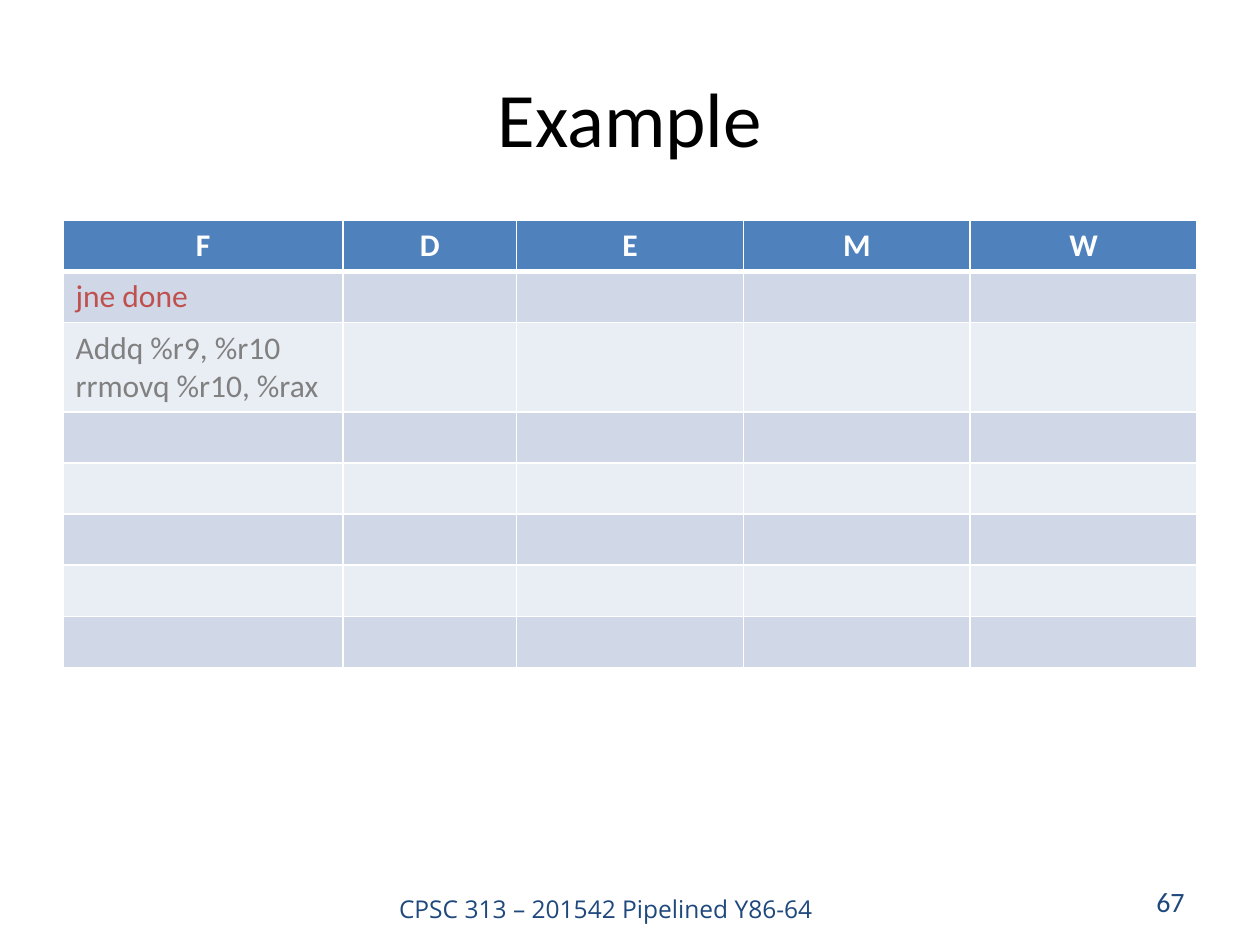
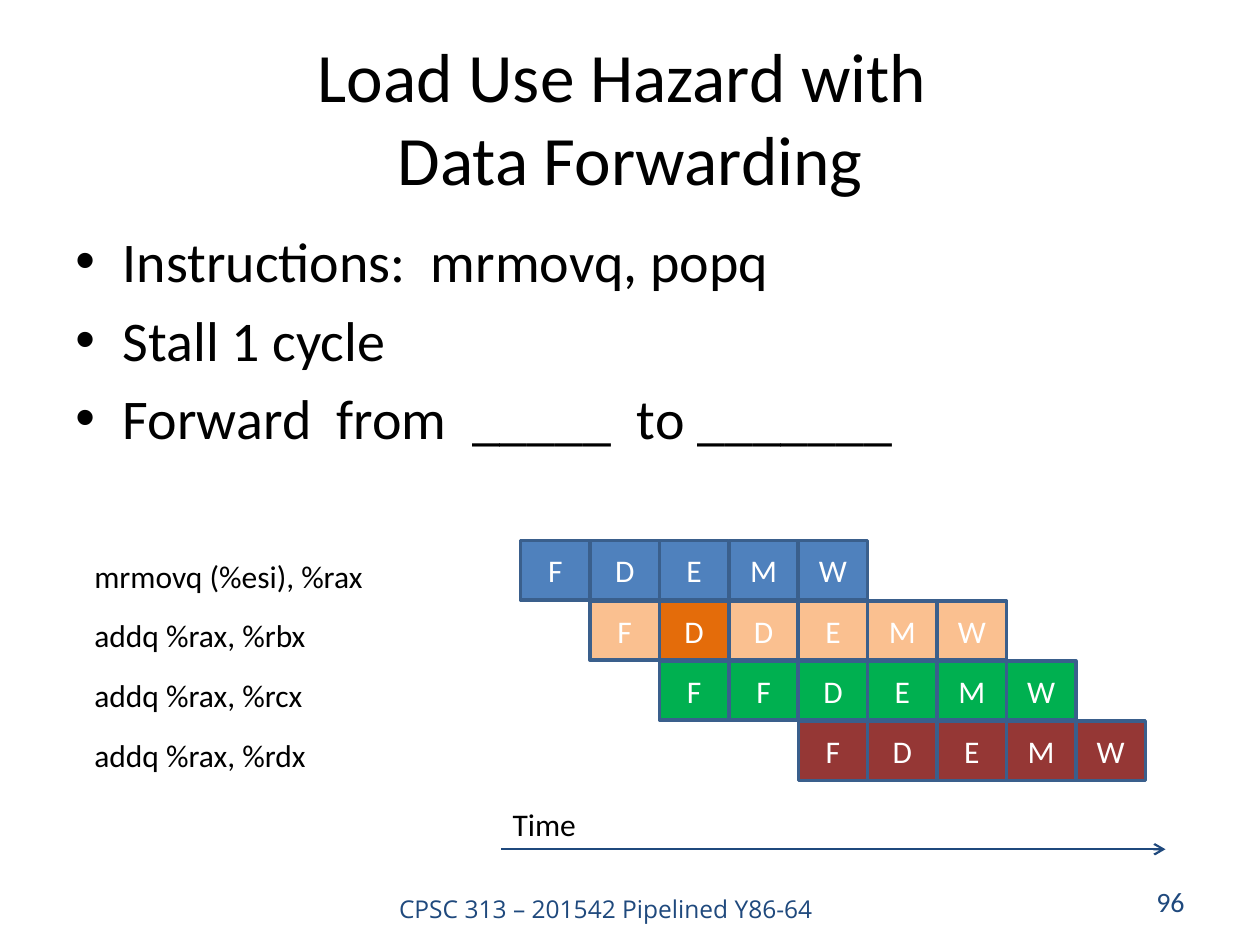
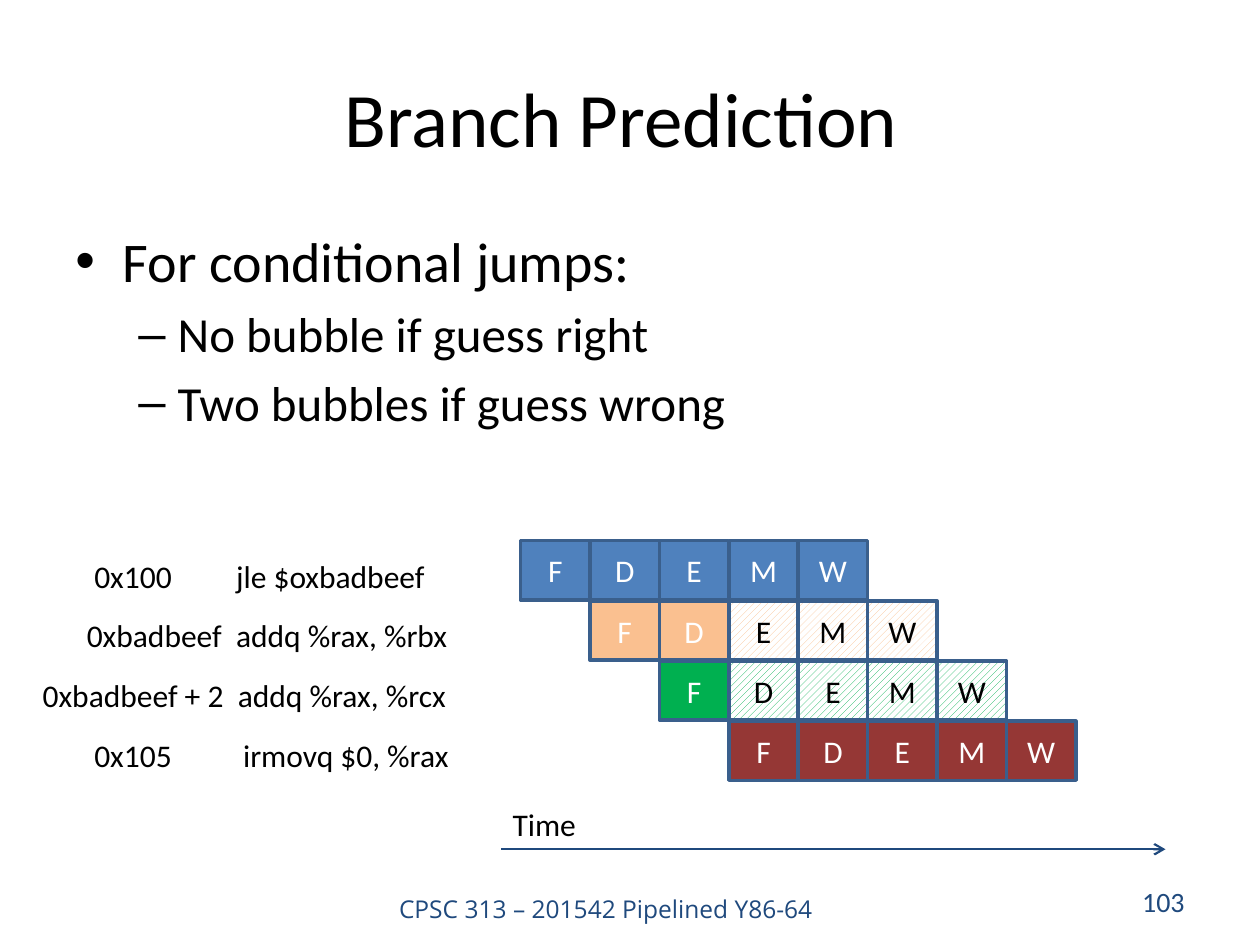
from dataclasses import dataclass
from typing import Optional

import pptx
import pptx.presentation
import pptx.shapes.autoshape
import pptx.slide
import pptx.text.text
from pptx.dml.color import RGBColor
from pptx.enum.dml import MSO_PATTERN
from pptx.enum.shapes import MSO_CONNECTOR, MSO_SHAPE
from pptx.enum.text import MSO_ANCHOR, PP_ALIGN
from pptx.oxml import parse_xml
from pptx.oxml.ns import nsdecls
from pptx.util import Pt


@dataclass(frozen=True)
class Theme:
    font: str = "Calibri"
    footer_font: str = "Open Sans"
    ink: str = "000000"
    paper: str = "FFFFFF"
    navy: str = "1F497D"
    outline: str = "3A5F8C"
    blue: str = "4F81BD"
    peach: str = "FAC090"
    orange: str = "E46C0A"
    green: str = "00B050"
    maroon: str = "953735"
    red: str = "C0504D"
    grey: str = "808080"
    bands: tuple[str, str] = ("D0D8E8", "E9EDF4")
    title: float = 44
    small_title: float = 39.6
    bullets: tuple[float, float] = (32, 28)
    text: float = 18
    number: float = 16
    footer: float = 14


@dataclass(frozen=True)
class Box:
    left: float
    top: float
    width: float
    height: float


@dataclass(frozen=True)
class Bullet:
    text: str
    level: int = 0


@dataclass(frozen=True)
class Lane:
    """One instruction: its label and the pipeline stages it passes through."""
    label: str
    start: int
    stages: str
    color: str
    label_left: float = 46.8
    code_left: float = 0
    stalled: Optional[int] = None
    squashed_from: Optional[int] = None


THEME = Theme()
TITLE_BOX = Box(36, 21.6, 648, 90)
BODY_BOX = Box(36, 126, 648, 132.5)
FOOTER_BOX = Box(206.6, 507.6, 279.4, 21.6)
NUMBER_BOX = Box(516.2, 500.4, 167.8, 28.8)
TIME_BOX = Box(285.8, 456.5, 51.1, 28.8)
INSET = 7.2

STAGE = Box(297.5, 309, 39.6, 33.9)
STAGE_PITCH = 39.67
LANE_PITCH = 34.35
LABEL_TOP, LABEL_PITCH = 314.6, 34.1

TABLE_LEFT, TABLE_TOP = 36, 126
COLUMN_WIDTHS = (160, 99.2, 129.6, 129.6, 129.6)
ROW_HEIGHT, TALL_ROW_HEIGHT = 29.2, 51
HEADINGS = "FDEMW"
FETCHED = {
    1: (("jne done",), THEME.red),
    2: (("Addq %r9, %r10", "rrmovq %r10, %rax"), THEME.grey),
}
TABLE_ROWS = 8

LOAD_USE_BULLETS = (
    Bullet("Instructions:  mrmovq, popq"),
    Bullet("Stall 1 cycle"),
    Bullet("Forward  from  _____  to _______"),
)
LOAD_USE_LANES = (
    Lane("mrmovq (%esi), %rax", 0, "FDEMW", THEME.blue),
    Lane("addq %rax, %rbx", 1, "FDDEMW", THEME.peach, stalled=1),
    Lane("addq %rax, %rcx", 2, "FFDEMW", THEME.green),
    Lane("addq %rax, %rdx", 4, "FDEMW", THEME.maroon),
)
BRANCH_BULLETS = (
    Bullet("For conditional jumps:"),
    Bullet("No bubble if guess right", 1),
    Bullet("Two bubbles if guess wrong", 1),
)
BRANCH_LANES = (
    Lane("0x100\tjle $oxbadbeef", 0, "FDEMW", THEME.blue, code_left=135),
    Lane("0xbadbeef\taddq %rax, %rbx", 1, "FDEMW", THEME.peach,
         label_left=42.5, code_left=135, squashed_from=2),
    Lane("0xbadbeef + 2\taddq %rax, %rcx", 2, "FDEMW", THEME.green,
         label_left=17.3, code_left=136, squashed_from=1),
    Lane("0x105\tirmovq $0, %rax", 3, "FDEMW", THEME.maroon, code_left=139),
)


def rgb(color: str) -> RGBColor:
    return RGBColor.from_string(color)


def add_run(p: pptx.text.text._Paragraph, text: str, size: float,
            color: str = THEME.ink, font: str = THEME.font, bold: bool = False) -> None:
    r = p.add_run()
    r.text = text
    r.font.name, r.font.size, r.font.bold = font, Pt(size), bold
    r.font.color.rgb = rgb(color)


def add_text_frame(s: pptx.slide.Slide, box: Box, wrap: bool = True,
                   anchor: MSO_ANCHOR = MSO_ANCHOR.TOP) -> pptx.text.text.TextFrame:
    sp = s.shapes.add_textbox(Pt(box.left), Pt(box.top), Pt(box.width), Pt(box.height))
    tf = sp.text_frame
    tf.word_wrap = wrap
    tf.vertical_anchor = anchor
    return tf


def add_slide(prs: pptx.presentation.Presentation, title: str, number: int,
              title_size: float = THEME.title) -> pptx.slide.Slide:
    """Add a blank slide with the shared footer, title and page number."""
    s = prs.slides.add_slide(prs.slide_layouts[6])
    p = add_text_frame(s, FOOTER_BOX).paragraphs[0]
    p.alignment = PP_ALIGN.CENTER
    add_run(p, "CPSC 313 – 201542 Pipelined Y86-64", THEME.footer, THEME.navy, THEME.footer_font)

    p = add_text_frame(s, TITLE_BOX, anchor=MSO_ANCHOR.MIDDLE).paragraphs[0]
    p.alignment = PP_ALIGN.CENTER
    for i, line in enumerate(title.split("\n")):
        if i:
            p.add_line_break()
        add_run(p, line, title_size)

    p = add_text_frame(s, NUMBER_BOX, anchor=MSO_ANCHOR.MIDDLE).paragraphs[0]
    p.alignment = PP_ALIGN.RIGHT
    add_run(p, str(number), THEME.number, THEME.navy)
    return s


def add_bullets(s: pptx.slide.Slide, bullets: tuple[Bullet, ...]) -> None:
    tf = add_text_frame(s, BODY_BOX)
    for i, bullet in enumerate(bullets):
        p = tf.add_paragraph() if i else tf.paragraphs[0]
        size = THEME.bullets[bullet.level]
        margin, hanging = ((27, 27), (58.5, 22.5))[bullet.level]
        p.level = bullet.level
        p.space_before = Pt(0.2 * size)
        pPr = p._p.get_or_add_pPr()
        pPr.set("marL", str(Pt(margin)))
        pPr.set("indent", str(-Pt(hanging)))
        pPr.append(parse_xml(f'<a:buFont {nsdecls("a")} typeface="Arial"/>'))
        pPr.append(parse_xml(f'<a:buChar {nsdecls("a")} char="{"•–"[bullet.level]}"/>'))
        add_run(p, bullet.text, size)


def add_stage(s: pptx.slide.Slide, lane: Lane, row: int, i: int) -> None:
    sp = s.shapes.add_shape(
        MSO_SHAPE.RECTANGLE,
        Pt(STAGE.left + (lane.start + i) * STAGE_PITCH), Pt(STAGE.top + row * LANE_PITCH),
        Pt(STAGE.width), Pt(STAGE.height))
    sp.shadow.inherit = False
    sp.line.color.rgb = rgb(THEME.outline)
    sp.line.width = Pt(2)
    squashed = lane.squashed_from is not None and i >= lane.squashed_from
    if squashed:
        sp.fill.patterned()
        sp.fill.pattern = MSO_PATTERN.WIDE_UPWARD_DIAGONAL
        sp.fill.fore_color.rgb = rgb(lane.color)
        sp.fill.back_color.rgb = rgb(THEME.paper)
    else:
        sp.fill.solid()
        sp.fill.fore_color.rgb = rgb(THEME.orange if i == lane.stalled else lane.color)
    tf = sp.text_frame
    tf.vertical_anchor = MSO_ANCHOR.MIDDLE
    p = tf.paragraphs[0]
    p.alignment = PP_ALIGN.CENTER
    add_run(p, lane.stages[i], THEME.text, THEME.ink if squashed else THEME.paper)


def add_lane_label(s: pptx.slide.Slide, lane: Lane, row: int) -> None:
    box = Box(lane.label_left, LABEL_TOP + row * LABEL_PITCH, 245, 28.8)
    p = add_text_frame(s, box, wrap=False).paragraphs[0]
    if lane.code_left:
        stop = Pt(lane.code_left - lane.label_left - INSET)
        p._p.get_or_add_pPr().append(parse_xml(
            f'<a:tabLst {nsdecls("a")}><a:tab pos="{stop}" algn="l"/></a:tabLst>'))
    p.alignment = PP_ALIGN.LEFT
    add_run(p, lane.label, THEME.text)


def add_time_arrow(s: pptx.slide.Slide) -> None:
    add_run(add_text_frame(s, TIME_BOX, wrap=False).paragraphs[0], "Time", THEME.text)
    arrow = s.shapes.add_connector(MSO_CONNECTOR.STRAIGHT, Pt(286.5), Pt(485.3), Pt(666), Pt(485.3))
    arrow.line.color.rgb = rgb(THEME.navy)
    arrow.line.width = Pt(1.25)
    arrow.line._get_or_add_ln().append(parse_xml(f'<a:tailEnd {nsdecls("a")} type="arrow"/>'))
    arrow._element.spPr.append(parse_xml(f'<a:effectLst {nsdecls("a")}/>'))


def add_pipeline(s: pptx.slide.Slide, lanes: tuple[Lane, ...]) -> None:
    for row, lane in enumerate(lanes):
        for i in range(len(lane.stages)):
            add_stage(s, lane, row, i)
        add_lane_label(s, lane, row)
    add_time_arrow(s)


def style_cell(cell: pptx.table._Cell, fill: str, top: float = 1, bottom: float = 1) -> None:
    tcPr = cell._tc.get_or_add_tcPr()
    for side, width in (("L", 1), ("R", 1), ("T", top), ("B", bottom)):
        tcPr.append(parse_xml(
            f'<a:ln{side} {nsdecls("a")} w="{Pt(width)}"><a:solidFill>'
            f'<a:srgbClr val="{THEME.paper}"/></a:solidFill></a:ln{side}>'))
    cell.fill.solid()
    cell.fill.fore_color.rgb = rgb(fill)


def add_stage_table(s: pptx.slide.Slide) -> None:
    height = ROW_HEIGHT * (TABLE_ROWS - 1) + TALL_ROW_HEIGHT
    table = s.shapes.add_table(TABLE_ROWS, len(HEADINGS), Pt(TABLE_LEFT), Pt(TABLE_TOP),
                               Pt(sum(COLUMN_WIDTHS)), Pt(height)).table
    for column, width in zip(table.columns, COLUMN_WIDTHS):
        column.width = Pt(width)
    for i, row in enumerate(table.rows):
        lines, color = FETCHED.get(i, ((), THEME.ink))
        row.height = Pt(TALL_ROW_HEIGHT if len(lines) > 1 else ROW_HEIGHT)
        for cell in row.cells:
            if i == 0:
                style_cell(cell, THEME.blue, bottom=3)
            else:
                style_cell(cell, THEME.bands[(i - 1) % 2], top=3 if i == 1 else 1)
        tf = table.cell(i, 0).text_frame
        for j, line in enumerate(lines):
            p = tf.add_paragraph() if j else tf.paragraphs[0]
            add_run(p, line, THEME.text, color)
    for cell, heading in zip(table.rows[0].cells, HEADINGS):
        p = cell.text_frame.paragraphs[0]
        p.alignment = PP_ALIGN.CENTER
        add_run(p, heading, THEME.text, THEME.paper, bold=True)


def main() -> None:
    prs = pptx.Presentation()
    prs.slide_width, prs.slide_height = Pt(720), Pt(540)

    add_stage_table(add_slide(prs, "Example", 67))

    s = add_slide(prs, "Load Use Hazard with \nData Forwarding", 96, THEME.small_title)
    add_bullets(s, LOAD_USE_BULLETS)
    add_pipeline(s, LOAD_USE_LANES)

    s = add_slide(prs, "Branch Prediction ", 103)
    add_bullets(s, BRANCH_BULLETS)
    add_pipeline(s, BRANCH_LANES)

    prs.save("out.pptx")


if __name__ == "__main__":
    main()
